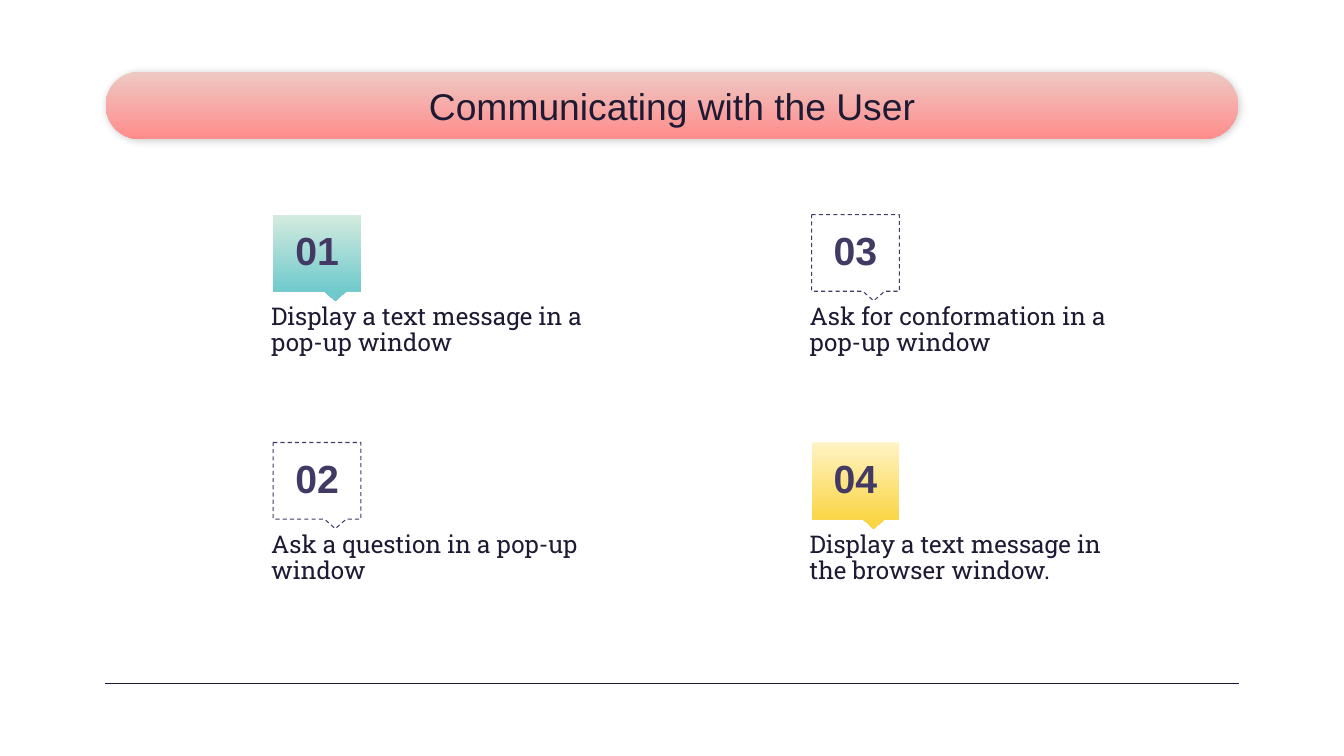
from lxml import etree
from pptx import Presentation
from pptx.dml.color import RGBColor
from pptx.enum.dml import MSO_LINE
from pptx.enum.shapes import MSO_CONNECTOR, MSO_SHAPE
from pptx.enum.text import MSO_ANCHOR, MSO_AUTO_SIZE, PP_ALIGN
from pptx.oxml import parse_xml
from pptx.oxml.ns import qn
from pptx.util import Inches, Pt

INK = RGBColor(0x1F, 0x1A, 0x33)
PURPLE = RGBColor(0x42, 0x3A, 0x64)
CORAL = (RGBColor(0xEE, 0xC9, 0xC3), RGBColor(0xFF, 0x8C, 0x8C))
TEAL = (RGBColor(0xD4, 0xEB, 0xDE), RGBColor(0x70, 0xCA, 0xCD))
YELLOW = (RGBColor(0xFF, 0xF3, 0xC4), RGBColor(0xFA, 0xD6, 0x47))

LEFT, CENTER = PP_ALIGN.LEFT, PP_ALIGN.CENTER
TOP, MIDDLE = MSO_ANCHOR.TOP, MSO_ANCHOR.MIDDLE
NO_AUTOFIT = MSO_AUTO_SIZE.NONE
DASH = MSO_LINE.DASH
STRAIGHT = MSO_CONNECTOR.STRAIGHT
PILL = MSO_SHAPE.ROUNDED_RECTANGLE
CALLOUT = MSO_SHAPE.ROUNDED_RECTANGULAR_CALLOUT

TITLE = "Communicating with the User"
# Number, caption, gradient (None means a dashed outline); down each column
METHODS = [
    ("01", "Display a text message in a pop-up window", TEAL),
    ("02", "Ask a question in a pop-up window", None),
    ("03", "Ask for conformation in a pop-up window", None),
    ("04", "Display a text message in the browser window.", YELLOW),
]
ROWS = 2
GRID_LEFT, GRID_TOP = 2.71, 2.13
COLUMN_STEP, ROW_STEP = 5.34, 2.26
BADGE_WIDTH, BADGE_HEIGHT = 0.87, 0.76

SHADOW = (
    '<a:effectLst xmlns:a="http://schemas.openxmlformats.org/drawingml/2006/main">'
    '<a:outerShdw blurRad="71120" dist="10160" dir="3960000" algn="tl" rotWithShape="0">'
    '<a:srgbClr val="000000"><a:alpha val="20000"/></a:srgbClr>'
    "</a:outerShdw></a:effectLst>"
)


def fill_gradient(shape, colors):
    shape.fill.gradient()
    shape.fill.gradient_angle = 270
    for stop, color in zip(shape.fill.gradient_stops, colors):
        stop.color.rgb = color
    shape.line.fill.background()


def write(holder, text, size, font, color, align=LEFT, anchor=TOP,
          inset=(0.13, 0.13), bold=False):
    frame = holder.text_frame
    frame.word_wrap = True
    frame.auto_size = NO_AUTOFIT
    frame.vertical_anchor = anchor
    frame.margin_left = frame.margin_right = Inches(inset[0])
    frame.margin_top = frame.margin_bottom = Inches(inset[1])
    paragraph = frame.paragraphs[0]
    paragraph.alignment = align
    run = paragraph.add_run()
    run.text = text
    run.font.size = Pt(size)
    run.font.name = font
    run.font.bold = bold
    run.font.color.rgb = color
    return paragraph


def add_method(shapes, left, top, number, caption, gradient):
    badge = shapes.add_shape(CALLOUT, Inches(left), Inches(top),
                             Inches(BADGE_WIDTH), Inches(BADGE_HEIGHT))
    badge.shadow.inherit = False
    for index, value in enumerate((0.208, 0.625, 0)):
        badge.adjustments[index] = value
    if gradient:
        fill_gradient(badge, gradient)
    else:
        badge.fill.background()
        badge.line.color.rgb = PURPLE
        badge.line.width = Pt(0.75)
        badge.line.dash_style = DASH

    caption_box = shapes.add_textbox(Inches(left - 0.15), Inches(top + BADGE_HEIGHT),
                                     Inches(3.39), Inches(1.03))
    write(caption_box, caption, 17.4, "Roboto Slab", INK).line_spacing = 0.9
    number_box = shapes.add_textbox(Inches(left), Inches(top + 0.12),
                                    Inches(BADGE_WIDTH), Inches(0.43))
    write(number_box, number, 28, "Arial", PURPLE, CENTER, inset=(0.13, 0), bold=True)


def main():
    deck = Presentation()
    deck.slide_width, deck.slide_height = Inches(13.33), Inches(7.5)
    slide = deck.slides.add_slide(deck.slide_layouts[5])
    shapes = slide.shapes

    title_bar = shapes.add_shape(PILL, Inches(1.05), Inches(0.71),
                                 Inches(11.23), Inches(0.67))
    title_bar.adjustments[0] = 0.5
    fill_gradient(title_bar, CORAL)
    title_bar._element.spPr.append(parse_xml(SHADOW))

    footer_rule = shapes.add_connector(STRAIGHT, Inches(1.04), Inches(6.78),
                                       Inches(12.29), Inches(6.78))
    footer_rule.line.color.rgb = INK
    footer_rule.line.width = Pt(0.75)
    etree.SubElement(footer_rule._element.spPr, qn("a:effectLst"))

    title = shapes.title
    title.left, title.top = Inches(3.3), Inches(0.71)
    title.width, title.height = Inches(6.74), Inches(0.67)
    write(title, TITLE, 26.6, "Arial", INK, CENTER, MIDDLE, (0.1, 0.1))
    shapes._spTree.append(title._element)  # bring the title in front of its bar

    for index, method in enumerate(METHODS):
        column, row = divmod(index, ROWS)
        add_method(shapes, GRID_LEFT + column * COLUMN_STEP,
                   GRID_TOP + row * ROW_STEP, *method)

    deck.save("out.pptx")


if __name__ == "__main__":
    main()
